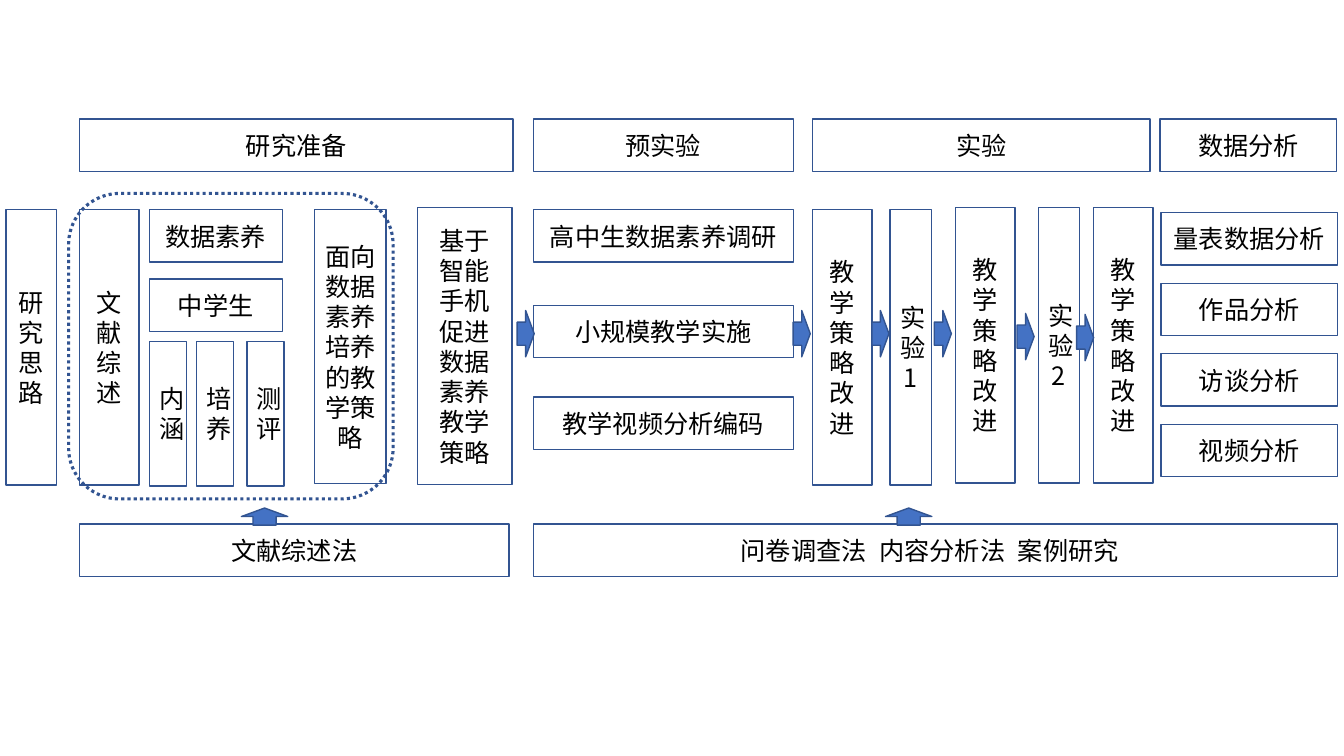
from pptx import Presentation
from pptx.dml.color import RGBColor as RGB
from pptx.enum.dml import MSO_LINE as Dash
from pptx.enum.shapes import MSO_SHAPE as Kind
from pptx.enum.text import MSO_ANCHOR as Anchor, PP_ALIGN as Align
from pptx.oxml.ns import qn
from pptx.util import Pt
from lxml.etree import SubElement


def color(code):
    return RGB.from_string(code)


def apply(item, form):
    for key, val in form.items():
        setattr(item, key, val)


class Board:
    face = "Noto Sans CJK SC"
    edge, blue = "325491", "4472C4"
    font = {"name": face, "size": Pt(18)}
    frame = {"word_wrap": True, "vertical_anchor": Anchor.MIDDLE}

    def __init__(self, slide):
        self.slide = slide

    def shape(self, kind, x, y, w, h, fill=None, line=1):
        item = self.slide.shapes.add_shape(kind, Pt(x), Pt(y), Pt(w), Pt(h))
        item.shadow.inherit = False
        if fill:
            item.fill.solid()
            item.fill.fore_color.rgb = color(fill)
        else:
            item.fill.background()
        item.line.color.rgb = color(self.edge)
        item.line.width = Pt(line)
        return item

    def box(self, text, x, y, w, h, right=7.2):
        body = self.shape(Kind.RECTANGLE, x, y, w, h).text_frame
        body.text = text
        apply(body, self.frame)
        body.margin_right = Pt(right)
        for para in body.paragraphs:
            para.alignment = Align.CENTER
            for run in para.runs:
                apply(run.font, self.font)
                run.font.color.rgb = color("000000")
                # East Asian text takes its own typeface
                SubElement(run.font._element, qn("a:ea"), typeface=self.face)

    def arrow(self, x, y, turn=0):
        item = self.shape(Kind.RIGHT_ARROW, x, y, 12.2, 33.1, self.blue)
        item.rotation = turn

    def ring(self, x, y, w, h):
        item = self.shape(Kind.ROUNDED_RECTANGLE, x, y, w, h, line=2.25)
        item.line.dash_style = Dash.ROUND_DOT


deck = Presentation()
apply(deck, {"slide_width": Pt(960), "slide_height": Pt(540)})
board = Board(deck.slides.add_slide(deck.slide_layouts[6]))

# Shared columns, rows and sizes
prep, pilot, trial, data = 56.9, 380.9, 580.3, 829.4
top, tall, low = 149.8, 196.6, 37.4
wide, slim = 42.5, 29.5

# Stage headers
for text, x, w in [("研究准备", prep, 309.6), ("预实验", pilot, 185.8),
                   ("实验", trial, 241.2), ("数据分析", 828.7, 126)]:
    board.box(text, x, 85, w, low)

# Research preparation
board.box("研究思路", 4.3, top, 36, tall)
board.box("文献综述", prep, top, wide, tall)
for text, y in [("数据素养", top), ("中学生", 199.4)]:
    board.box(text, 106.6, y, 95, low)
for text, x in [("内涵", 106.6), ("培养", 140.4), ("测评", 176.4)]:
    board.box(text, x, 244.1, 26.6, 103)
board.box("面向数据素养培养的教学策略", 224.6, top, 51.1, 195.8)
board.box("基于智能手机促进数据素养教学策略", 298.1, 148.3, 67.7, 198)
board.ring(49, 138.2, 231.8, 218.2)

# Pilot steps
for text, y in [("高中生数据素养调研", top), ("小规模教学实施", 218.2),
                ("教学视频分析编码", 283.7)]:
    board.box(text, pilot, y, 185.8, low)

# Experiment rounds
better = "教学策略\n改进"
for text, x, y, w in [(better, trial, top, wide), ("实验\n1", 635.8, top, slim),
                      (better, 682.6, 148.3, wide),
                      ("实验\n2", 741.6, 148.3, slim),
                      (better, 781.2, 148.3, wide)]:
    board.box(text, x, y, w, tall)

# Data analysis
for i, text in enumerate(["量表数据分析", "作品分析", "访谈分析", "视频分析"]):
    board.box(text, data, 151.9 + 50.4 * i, 126, low)

# Methods
board.box("文献综述法", prep, 374.4, 306.7, low)
board.box("问卷调查法\u2002内容分析法\u2002案例研究", pilot, 374.4, 574.6, low,
          right=15.2)

# Arrows between steps, then up from the methods
for x, y in [(369.4, 221.8), (566.6, 221.8), (622.8, 221.8),
             (667.4, 221.8), (726.5, 223.9), (769, 224.6)]:
    board.arrow(x, y)
for x in (182.9, 643):
    board.arrow(x, 352.4, 270)

deck.save("out.pptx")
